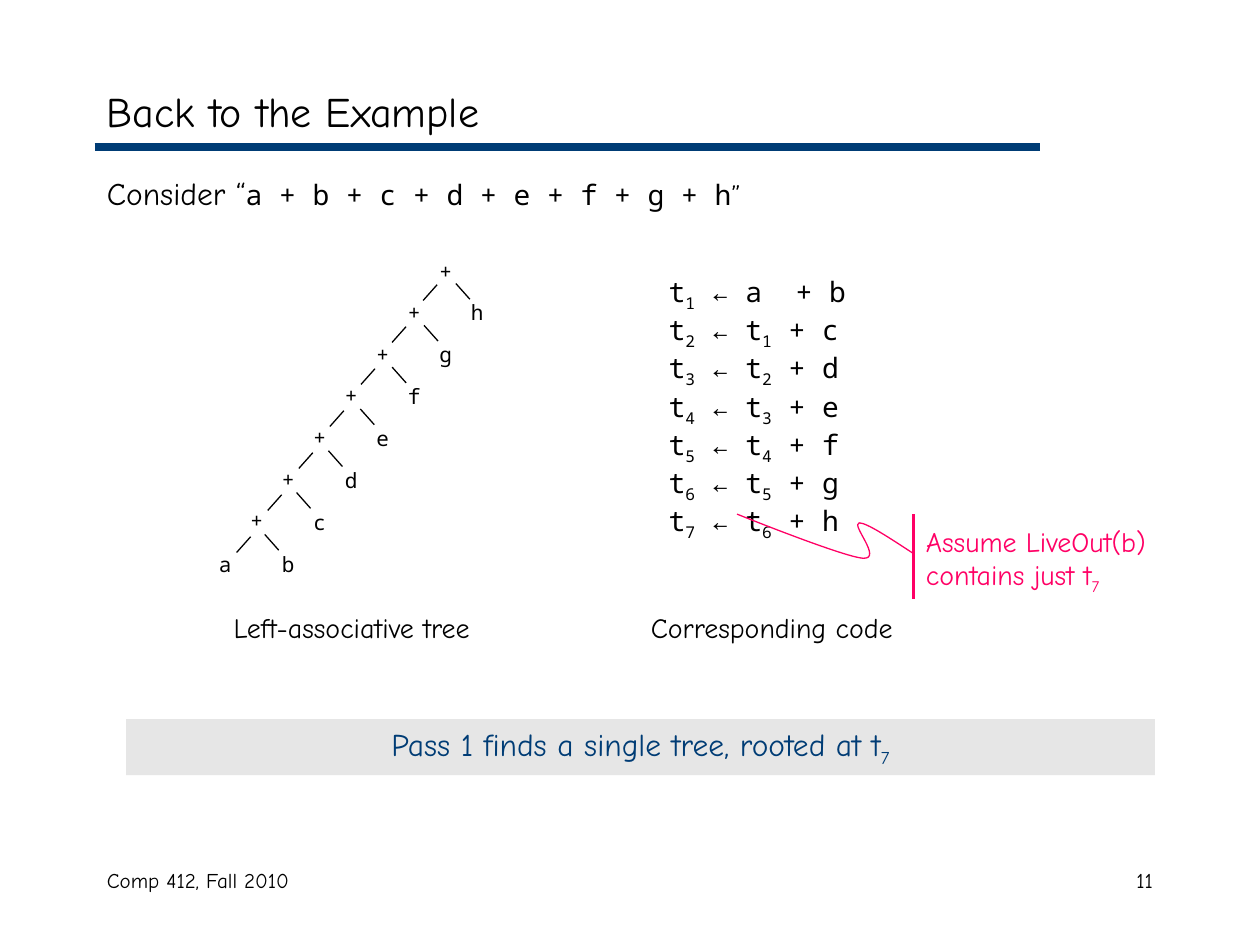
from lxml import etree
from pptx import Presentation
from pptx.dml.color import RGBColor
from pptx.enum.shapes import MSO_CONNECTOR, MSO_SHAPE
from pptx.enum.text import MSO_ANCHOR, PP_ALIGN
from pptx.oxml.ns import qn
from pptx.util import Pt

STRAIGHT = MSO_CONNECTOR.STRAIGHT
RECTANGLE = MSO_SHAPE.RECTANGLE
TOP, MIDDLE = MSO_ANCHOR.TOP, MSO_ANCHOR.MIDDLE
LEFT, CENTER, RIGHT = PP_ALIGN.LEFT, PP_ALIGN.CENTER, PP_ALIGN.RIGHT

SANS, MONO = "Comic Neue", "Noto Sans Mono"
BLACK, NAVY, PINK, GREY = "000000", "003C75", "FF0065", "E6E6E6"


def rgb(color):
    return RGBColor.from_string(color)


class SlideBuilder:
    def __init__(self, slide):
        self.slide = slide
        self.style = {"name": SANS, "size": 16, "color": BLACK}

    def add_run(self, p, text, style, subscript=False):
        r = p.add_run()
        r.text = text
        formats = {**self.style, **style}
        r.font.color.rgb = rgb(formats.pop("color"))
        formats["size"] = Pt(formats["size"])
        for name, value in formats.items():
            setattr(r.font, name, value)
        if subscript:
            r._r.get_or_add_rPr().set("baseline", "-25000")

    def fill_text(self, sp, paragraphs, align, anchor):
        """Write paragraphs of (text, style) parts; "_" makes the next character a subscript."""
        tf = sp.text_frame
        tf.word_wrap = True
        tf.vertical_anchor = anchor
        for i, parts in enumerate(paragraphs):
            p = tf.add_paragraph() if i else tf.paragraphs[0]
            p.alignment = align
            for text, style in parts:
                first, *rest = text.split("_")
                self.add_run(p, first, style)
                for piece in rest:
                    self.add_run(p, piece[0], style, subscript=True)
                    if piece[1:]:
                        self.add_run(p, piece[1:], style)

    def text(self, box, paragraphs, align=LEFT, anchor=TOP):
        sp = self.slide.shapes.add_textbox(*map(Pt, box))
        self.fill_text(sp, paragraphs, align, anchor)

    def label(self, box, text, align=LEFT, anchor=TOP, **style):
        self.text(box, [[(text, style)]], align, anchor)

    def banner(self, box, text, fill, **style):
        sp = self.slide.shapes.add_shape(RECTANGLE, *map(Pt, box))
        sp.shadow.inherit = False
        sp.fill.solid()
        sp.fill.fore_color.rgb = rgb(fill)
        sp.line.fill.background()
        self.fill_text(sp, [[(text, style)]], CENTER, TOP)

    def line(self, x1, y1, x2, y2, color=BLACK, width=0.75):
        cx = self.slide.shapes.add_connector(STRAIGHT, *map(Pt, (x1, y1, x2, y2)))
        cx.line.color.rgb = rgb(color)
        cx.line.width = Pt(width)
        etree.SubElement(cx._element.spPr, qn("a:effectLst"))

    def curve(self, points, color, width=0.75):
        """Draw Bezier segments: a start point, then three points per segment."""
        start, *rest = [(Pt(x), Pt(y)) for x, y in points]
        builder = self.slide.shapes.build_freeform(*start)
        builder.add_line_segments(rest, close=False)
        sp = builder.convert_to_shape()
        sp.shadow.inherit = False
        sp.fill.background()
        sp.line.color.rgb = rgb(color)
        sp.line.width = Pt(width)
        segments = list(sp._element.iter(qn("a:lnTo")))
        for i in range(0, len(segments), 3):
            bezier = etree.Element(qn("a:cubicBezTo"))
            segments[i].addprevious(bezier)
            for segment in segments[i:i + 3]:
                bezier.append(segment[0])
                segment.getparent().remove(segment)


def draw_tree(b):
    def node(x, y, text):
        b.label((x, y, 24, 21.6), text, CENTER, name=MONO, size=12)

    for i, leaf in enumerate("hgfedcb"):
        node(242.64 - 18 * i, 144 + 23.76 * i, "+")
        node(260.64 - 18 * i, 167.76 + 24 * i, leaf)
        left_x, left_y = 249.8 - 17.76 * i, 162.7 + 24 * i
        right_x, right_y = 260.5 - 18.2 * i, 162 + 23.9 * i
        b.line(left_x, left_y, left_x - 8, left_y + 9)
        b.line(right_x, right_y, right_x + 8, right_y + 9)
    node(116.64, 311.76, "a")


def main():
    prs = Presentation()
    prs.slide_width, prs.slide_height = Pt(720), Pt(540)
    b = SlideBuilder(prs.slides.add_slide(prs.slide_layouts[6]))

    b.line(54, 84.24, 594, 84.24, NAVY, 4.5)
    b.label((54, 42, 612, 42), "Back to the Example", anchor=MIDDLE, size=24)
    b.label((54, 492, 228, 36), "Comp 412, Fall 2010", size=12)
    b.label((516, 492, 150, 36), "11", RIGHT, size=12)
    b.text((54, 96, 468, 29), [[
        ("Consider “", {"size": 18}),
        ("a + b + c + d + e + f + g + h", {"name": MONO}),
        ("”", {}),
    ]])
    b.banner((72, 411, 588, 32), "Pass 1 finds a single tree, rooted at t_7",
             GREY, size=18, color=NAVY)

    draw_tree(b)
    b.label((102, 345.6, 198, 26.6), "Left-associative tree", CENTER)

    code = ["t_1 ← a  + b"]
    code += [f"t_{n} ← t_{n - 1} + {name}" for n, name in enumerate("cdefgh", 2)]
    b.text((375, 153.4, 132, 160), [[(row, {"name": MONO})] for row in code])
    b.label((342, 345.6, 198, 26.6), "Corresponding code", CENTER)

    b.label((522, 296, 156, 48), "Assume LiveOut(b) contains just t_7", color=PINK)
    b.line(522, 294, 522, 342, PINK, 2.25)
    b.curve([(521.5, 316), (508.3, 307.4), (495.4, 298.8), (491, 298.8),
             (486, 299.5), (504.7, 319.7), (493.2, 319),
             (481.7, 318.2), (421.2, 293.8), (421.2, 293.8)], PINK)

    prs.save("out.pptx")


if __name__ == "__main__":
    main()
